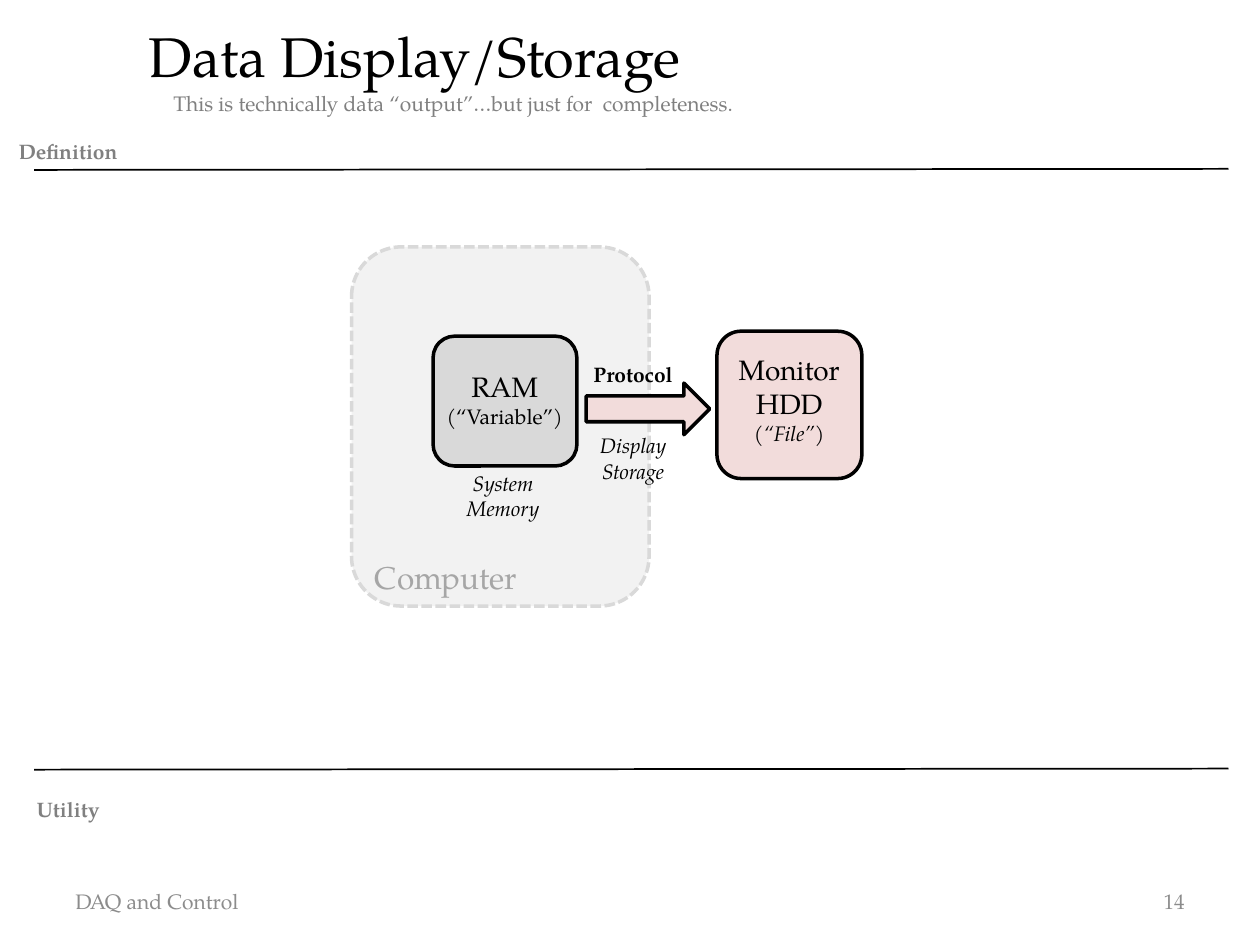
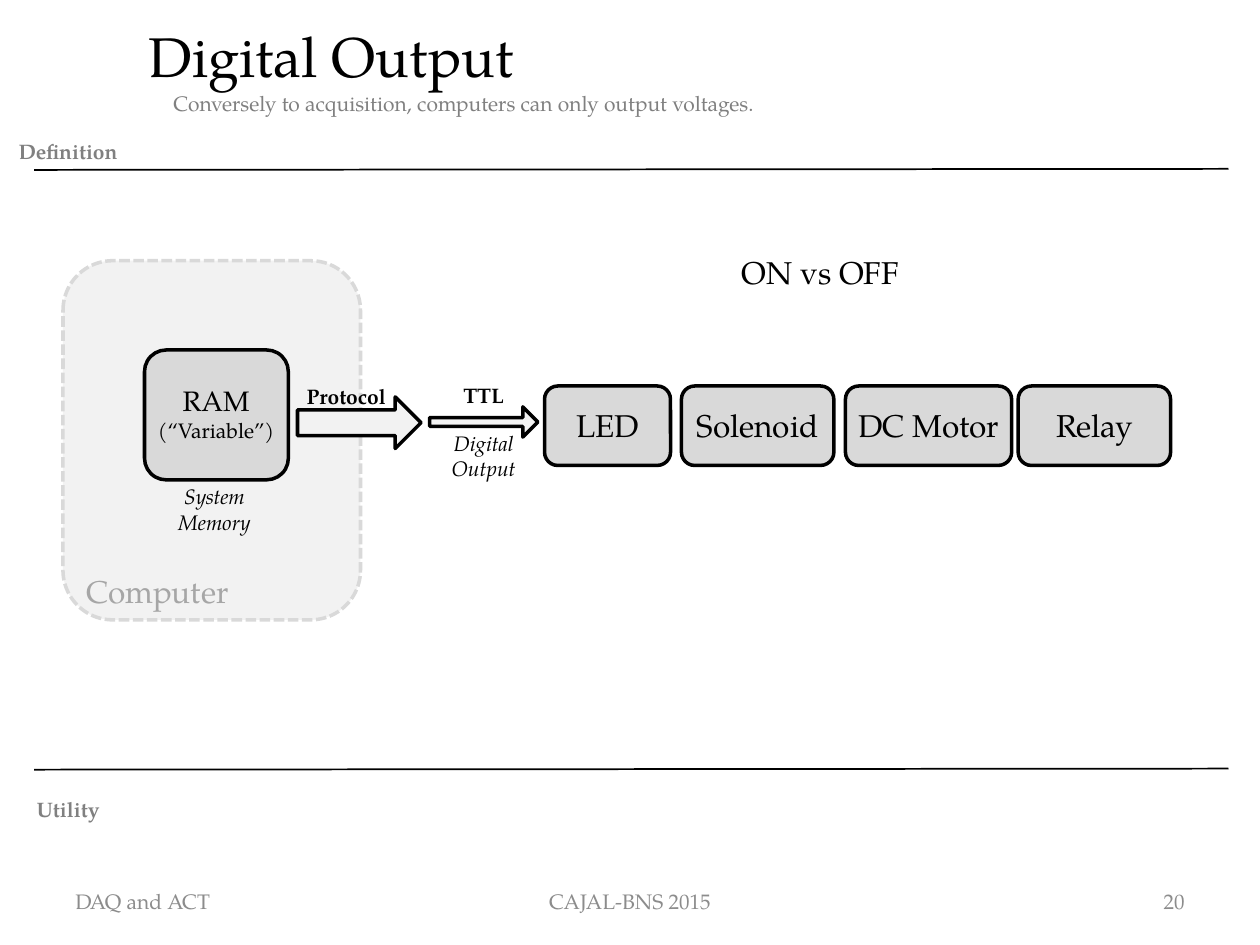
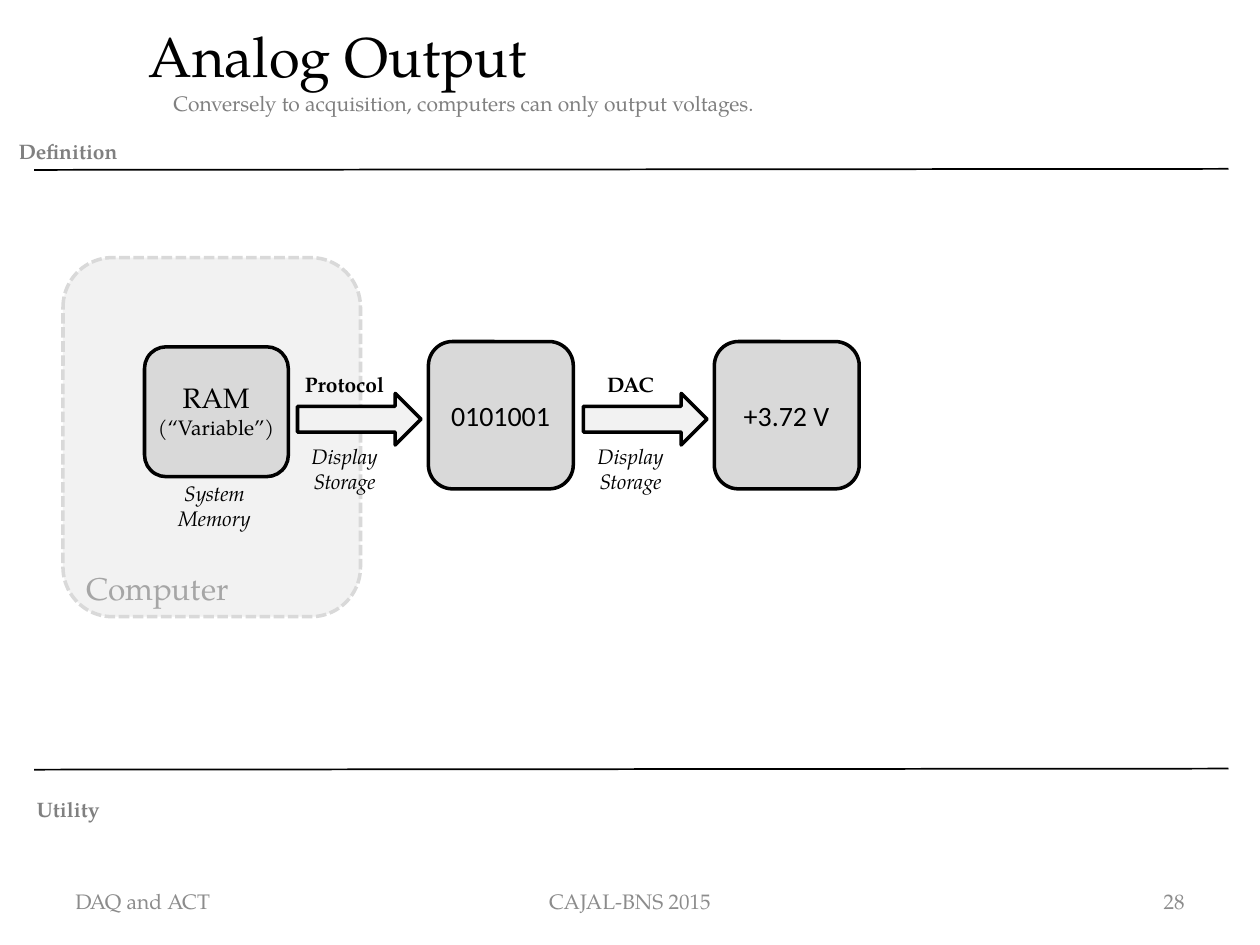
import pptx
import pptx.dml.color
import pptx.enum.dml
import pptx.enum.shapes
import pptx.enum.text
import pptx.util
from lxml import etree

Pt = pptx.util.Pt
SHAPE = pptx.enum.shapes.MSO_SHAPE
ALIGN = pptx.enum.text.PP_ALIGN
ANCHOR = pptx.enum.text.MSO_ANCHOR
DRAWING = "{http://schemas.openxmlformats.org/drawingml/2006/main}"

FONT = "TeX Gyre Pagella"
COLORS = {
    "ink": "000000", "heading": "808080", "footer": "8C8C8C", "faint": "A6A6A6",
    "computer": "F2F2F2", "border": "D9D9D9", "block": "D9D9D9", "sink": "F2DCDB",
}


def rgb(name):
    return pptx.dml.color.RGBColor.from_string(COLORS[name])


def fill_frame(frame, lines, size=12, color="ink", font=FONT, bold=False, italic=False,
               align=ALIGN.CENTER, anchor=ANCHOR.TOP, side=7.2):
    """Write lines, each a string or a (string, format changes) pair."""
    frame.auto_size = pptx.enum.text.MSO_AUTO_SIZE.NONE
    frame.word_wrap = True
    frame.vertical_anchor = anchor
    frame.margin_left = frame.margin_right = Pt(side)
    frame.margin_top = frame.margin_bottom = Pt(3.6)
    for number, line in enumerate(lines):
        words, changes = (line, {}) if isinstance(line, str) else line
        paragraph = frame.add_paragraph() if number else frame.paragraphs[0]
        paragraph.alignment = align
        paragraph.space_before = Pt(0)
        run = paragraph.add_run()
        run.text = words
        run.font.name = font
        run.font.size = Pt(changes.get("size", size))
        run.font.bold = bold
        run.font.italic = changes.get("italic", italic)
        run.font.color.rgb = rgb(color)


def add_text(slide, box, *lines, **style):
    label = slide.shapes.add_textbox(*map(Pt, box))
    fill_frame(label.text_frame, lines, **style)
    return label


def add_block(slide, box, fill="block", line="ink", kind=SHAPE.ROUNDED_RECTANGLE):
    block = slide.shapes.add_shape(kind, *map(Pt, box))
    block.shadow.inherit = False
    block.fill.solid()
    block.fill.fore_color.rgb = rgb(fill)
    block.line.color.rgb = rgb(line)
    block.line.width = Pt(2)
    return block


def add_rule(slide, y):
    rule = slide.shapes.add_connector(
        pptx.enum.shapes.MSO_CONNECTOR.STRAIGHT, Pt(19.5), Pt(y), Pt(702), Pt(y - 0.6))
    rule.line.color.rgb = rgb("ink")
    rule.line.width = Pt(1)
    etree.SubElement(rule.element.spPr, DRAWING + "effectLst")
    return rule


def add_bands(slide):
    """Build the section labels and rules, then move them to the shared layout."""
    bands = [add_text(slide, (0, y, 77.8, 21.6), name, color="heading", bold=True)
             for name, y in (("Utility", 451.4), ("Definition", 75.4))]
    bands += [add_rule(slide, y) for y in (97.1, 439.8)]
    for band in bands:
        slide.slide_layout.shapes.element.append(band.element)


def add_slide(deck, title, remark, footer, event, number):
    slide = deck.slides.add_slide(deck.slide_layouts[1])
    heading, body = slide.placeholders
    for holder, y, height in ((heading, 8.6, 39.6), (body, 48.2, 49)):
        holder.left, holder.top = Pt(77.8), Pt(y)
        holder.width, holder.height = Pt(566.6), Pt(height)
    fill_frame(heading.text_frame, [title], size=32, align=ALIGN.LEFT)
    fill_frame(body.text_frame, [remark], color="heading", align=ALIGN.LEFT)
    remark_format = body.text_frame.paragraphs[0]._p.get_or_add_pPr()
    remark_format.set("marL", "0")
    remark_format.set("indent", str(Pt(14)))
    etree.SubElement(remark_format, DRAWING + "buNone")

    # Footer row
    for words, x, width, align in ((footer, 36, 168, ALIGN.LEFT),
                                   (event, 246, 228, ALIGN.CENTER),
                                   (number, 516, 168, ALIGN.RIGHT)):
        if words:
            add_text(slide, (x, 500.6, width, 28.8), words, color="footer",
                     align=align, anchor=ANCHOR.MIDDLE)
    return slide


def add_computer(slide, x, y):
    """Dashed computer with its memory block."""
    computer = add_block(slide, (x, y, 170, 205.2), "computer", "border")
    computer.line.dash_style = pptx.enum.dml.MSO_LINE.SQUARE_DOT
    add_block(slide, (x + 46.6, y + 51, 82.2, 74.2))
    add_text(slide, (x + 45, y + 66.7, 85, 41), "RAM", ("(“Variable”)", {"size": 12}),
             size=16, side=0)
    add_text(slide, (x + 6.3, y + 174.2, 110.9, 28.8), "Computer", size=18,
             color="faint", align=ALIGN.LEFT)
    add_text(slide, (x + 57.8, y + 124, 57.6, 36), "System", "Memory", italic=True)


def add_link(slide, x, y, name, caption=(), width=70.6, height=29.5, fill="computer",
             shift=-6.2, rise=16, drop=25):
    """Arrow with a bold name above it and an italic caption below."""
    arrow = add_block(slide, (x, y, width, height), fill, kind=SHAPE.RIGHT_ARROW)
    add_text(slide, (x + shift, y - rise, 66.2, 21.6), name, bold=True)
    if caption:
        add_text(slide, (x + shift, y + drop, 66.2, 36), *caption, italic=True)
    return arrow


def add_target(slide, x, y, *lines, fill="block", inset=28.8, **style):
    add_block(slide, (x, y, 82.8, 84.2), fill)
    add_text(slide, (x + 2, y + inset, 78.5, 60), *lines, size=16, **style)


def build_storage(slide, x, y):
    add_computer(slide, x, y)
    add_link(slide, x + 134, y + 77.8, "Protocol", ("Display", "Storage"), fill="sink")
    add_target(slide, x + 208.8, y + 48.2, "Monitor", "HDD",
               ("(“File”)", {"size": 12, "italic": True}), fill="sink", inset=8.8)


def build_digital(slide, x, y):
    add_computer(slide, x, y)
    add_link(slide, x + 134, y + 77.8, "Protocol", shift=-5.2, rise=11)
    ttl = add_link(slide, x + 209.5, y + 83.5, "TTL", ("Digital", "Output"), width=61.9,
                   height=17.3, shift=-2.2, rise=17.3, drop=10)
    ttl.adjustments[0] = 0.29

    # Driven devices
    for device, left, width in (("LED", 275.2, 72), ("Solenoid", 353.4, 87.1),
                                ("DC Motor", 447.1, 95), ("Relay", 545.8, 87.1)):
        add_block(slide, (x + left, y + 71.6, width, 45.4))
        add_text(slide, (x + left, y + 79.5, width, 28.8), device, size=18, side=0)
    add_text(slide, (x + 380.9, y - 7.7, 189.4, 28.8), "ON vs OFF", size=18,
             align=ALIGN.LEFT)


def build_analog(slide, x, y):
    add_computer(slide, x, y)
    for step, (name, value) in enumerate((("Protocol", "0101001"), ("DAC", "+3.72 V"))):
        left = x + 134 + step * 163.4
        add_link(slide, left, y + 77.6, name, ("Display", "Storage"))
        add_target(slide, left + 74.8, y + 48, value, font="Calibri")


def main():
    deck = pptx.Presentation()
    deck.slide_width, deck.slide_height = Pt(720), Pt(540)
    voltages = "Conversely to acquisition, computers can only output voltages."

    storage = add_slide(deck, "Data Display/Storage",
                        "This is technically data “output”…but just for  completeness.",
                        "DAQ and Control", None, "14")
    add_bands(storage)
    build_storage(storage, 200.9, 141.1)

    digital = add_slide(deck, "Digital Output", voltages, "DAQ and ACT",
                        "CAJAL-BNS 2015", "20")
    build_digital(digital, 36, 149)

    analog = add_slide(deck, "Analog Output", voltages, "DAQ and ACT",
                       "CAJAL-BNS 2015", "28")
    build_analog(analog, 36, 147.2)
    deck.save("out.pptx")


if __name__ == "__main__":
    main()
